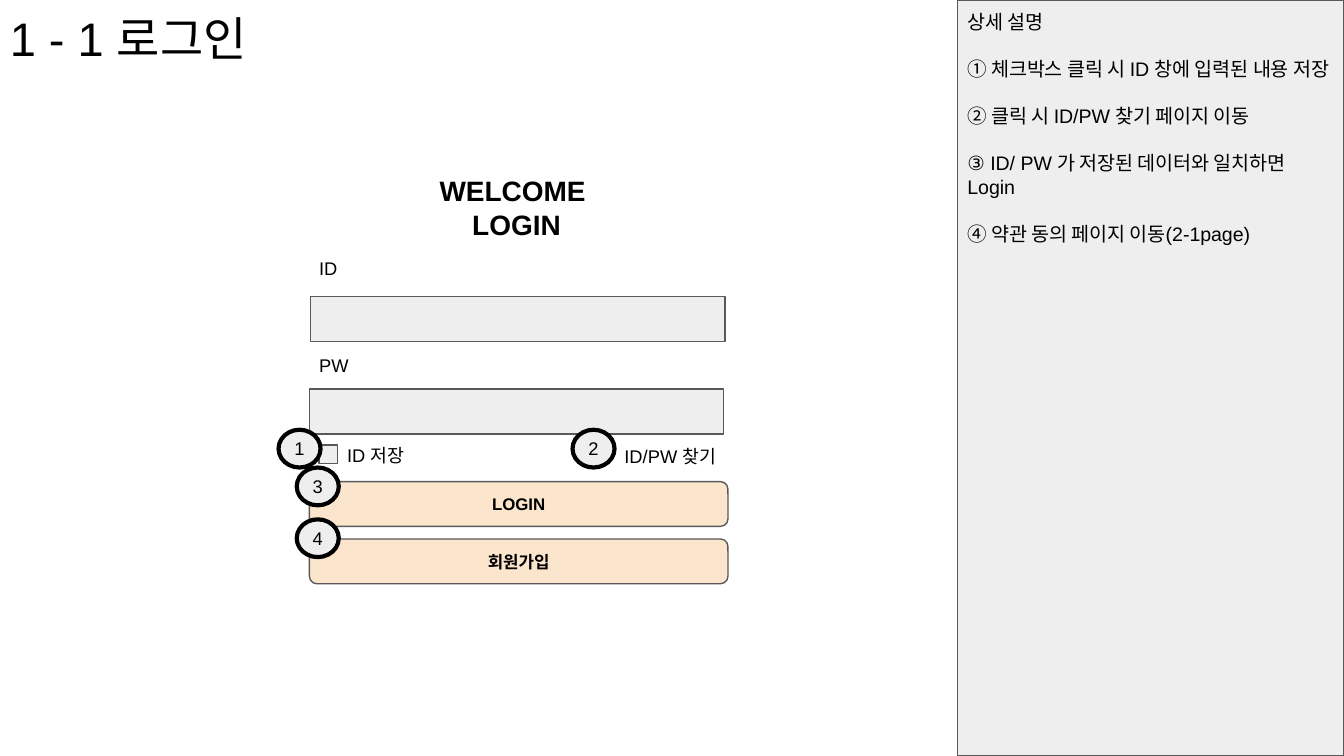
from pptx import Presentation
from pptx import util as u
from pptx.dml.color import RGBColor
from pptx.enum import shapes, text

PX = 9525  # 96 px to the inch
BLACK = RGBColor(0x00, 0x00, 0x00)
GRAY = RGBColor(0xEE, 0xEE, 0xEE)
PEACH = RGBColor(0xFC, 0xE5, 0xCD)
BORDER = RGBColor(0x59, 0x59, 0x59)
LEFT, CENTER = text.PP_ALIGN.LEFT, text.PP_ALIGN.CENTER
TOP, MIDDLE = text.MSO_ANCHOR.TOP, text.MSO_ANCHOR.MIDDLE
SHAPE = shapes.MSO_SHAPE


def write(sp, *lines, size=9.8, bold=False, align=LEFT, anchor=TOP, leading=None, gap=0):
    tf = sp.text_frame
    tf.word_wrap = True
    tf.auto_size = text.MSO_AUTO_SIZE.NONE
    tf.vertical_anchor = anchor
    tf.margin_left = tf.margin_top = tf.margin_right = tf.margin_bottom = 7 * PX
    for i, line in enumerate(lines):
        p = tf.add_paragraph() if i else tf.paragraphs[0]
        p.alignment = align
        p.space_before = u.Pt(gap if i else 0)
        if leading:
            p.line_spacing = u.Pt(leading)
        r = p.add_run()
        r.text = line
        r.font.name, r.font.size, r.font.bold = "Arial", u.Pt(size), bold
        r.font.color.rgb = BLACK


def draw(kind, x, y, w, h, fill=GRAY, line=BORDER, weight=0.75):
    sp = s.shapes.add_shape(kind, x * PX, y * PX, w * PX, h * PX)
    sp.shadow.inherit = False
    sp.fill.solid()
    sp.fill.fore_color.rgb = fill
    sp.line.color.rgb = line
    sp.line.width = u.Pt(weight)
    return sp


prs = Presentation()
prs.slide_width, prs.slide_height = 960 * PX, 540 * PX
s = prs.slides.add_slide(prs.slide_layouts[5])

# Page title
title = s.shapes.title
title.left, title.top, title.width, title.height = 0, 0, 606 * PX, 42 * PX
write(title, "1 - 1 로그인", size=25.2)

# Heading and labels
heading = s.shapes.add_textbox(221 * PX, 117 * PX, 296 * PX, 58 * PX)
write(heading, "WELCOME ", "LOGIN", size=15, bold=True, align=CENTER, leading=18.2)
for label, x, y, w, h in [
    ("ID", 221, 177, 120, 32),
    ("PW", 221, 246, 120, 32),
    ("ID 저장", 241, 310, 70, 27),
    ("ID/PW 찾기", 439, 311, 85, 27),
]:
    write(s.shapes.add_textbox(x * PX, y * PX, w * PX, h * PX), label)

# Input fields and the save checkbox
for x, y, w, h in [(222, 212, 296, 32), (221, 278, 296, 32), (228, 318, 13, 13)]:
    draw(SHAPE.RECTANGLE, x, y, w, h)

# Buttons
for label, y in [("LOGIN", 344), ("회원가입", 385)]:
    button = draw(SHAPE.ROUNDED_RECTANGLE, 221, y, 299, 32, fill=PEACH)
    write(button, label, size=9, bold=True, align=CENTER, anchor=MIDDLE)

# Description panel
panel = draw(SHAPE.RECTANGLE, 684, 0, 276, 540)
write(
    panel,
    "상세 설명",
    "① 체크박스 클릭 시 ID 창에 입력된 내용 저장",
    "② 클릭 시 ID/PW 찾기 페이지 이동",
    "③ ID/ PW 가 저장된 데이터와 일치하면 Login",
    "④ 약관 동의 페이지 이동(2-1page)",
    size=10.5, leading=12.6, gap=12.6,
)

# Numbered markers
for number, (x, y) in enumerate([(199, 307), (409, 307), (212, 334), (212, 371)], 1):
    marker = draw(SHAPE.OVAL, x, y, 30, 27, line=BLACK, weight=2.25)
    write(marker, str(number), align=CENTER, anchor=MIDDLE)

prs.save("out.pptx")
